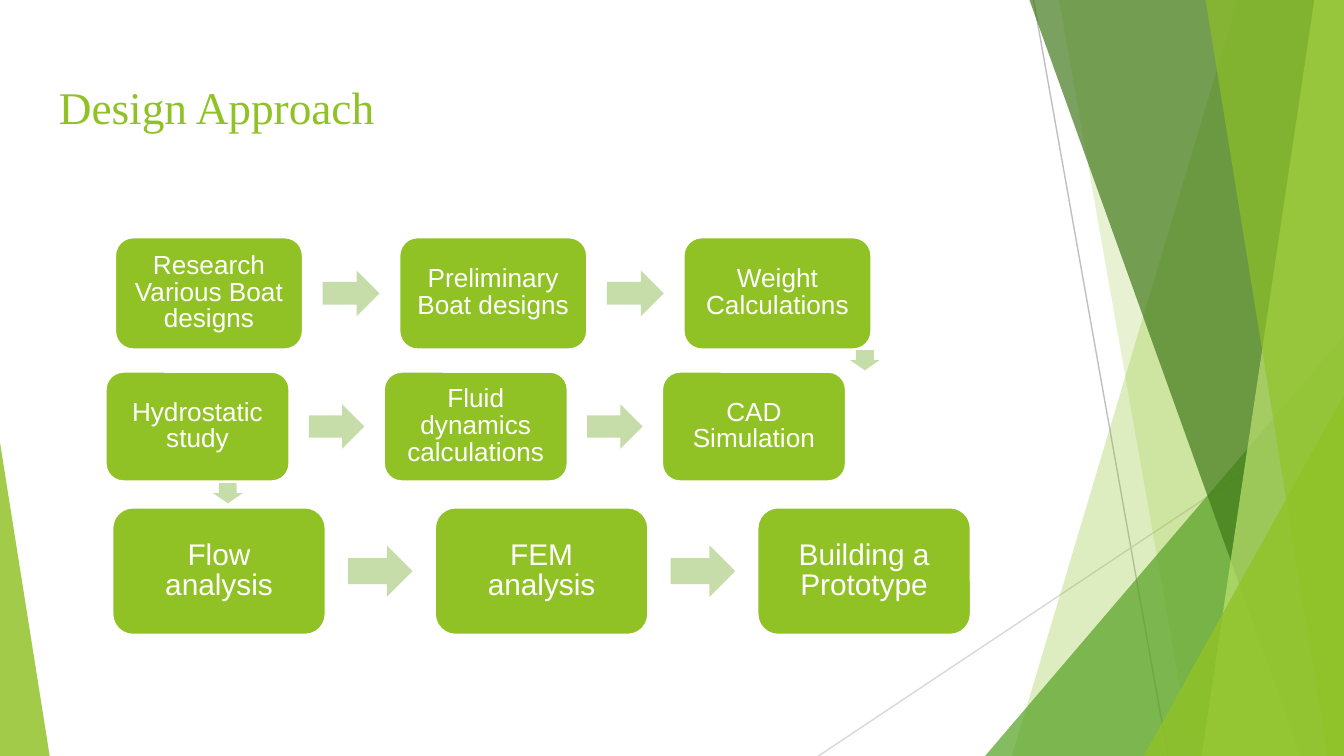
from lxml.etree import SubElement
from pptx import Presentation
from pptx.dml.color import RGBColor
from pptx.enum.shapes import MSO_CONNECTOR, MSO_SHAPE
from pptx.enum.text import MSO_ANCHOR, PP_ALIGN
from pptx.oxml.ns import qn
from pptx.util import Inches, Pt

GREEN = "90C226"
RIGHT, BOTTOM = 100, 56.25  # the slide in square grid units


def grid(*units):
    """Turn grid units, each a hundredth of the slide's width, into lengths."""
    return [Inches(unit / 10) for unit in units]


def paint(shape, color, opacity=100):
    """Give a shape a flat fill without outline or shadow."""
    shape.shadow.inherit = False
    shape.line.fill.background()
    shape.fill.solid()
    shape.fill.fore_color.rgb = RGBColor.from_string(color)
    if opacity < 100:
        color_element = shape.fill._xPr.find(qn("a:solidFill"))[0]
        SubElement(color_element, qn("a:alpha"), val=str(opacity * 1000))


presentation = Presentation()
presentation.slide_width, presentation.slide_height = grid(RIGHT, BOTTOM)
slide = presentation.slides.add_slide(presentation.slide_layouts[6])
shapes = slide.shapes

# Thin lines behind the facets
for start, end, color in [
    ((76.9, 0), (86.9, BOTTOM), "BFBFBF"),
    ((RIGHT, 30.2), (60.9, BOTTOM), "D8D8D8"),
]:
    connector = shapes.add_connector(MSO_CONNECTOR.STRAIGHT, *grid(*start, *end))
    connector.line.color.rgb = RGBColor.from_string(color)
    connector.line.width = Pt(0.75)
    SubElement(connector._element.spPr, qn("a:effectLst"))

# Facets: a band runs from its top corner to its bottom corner and fills to the
# right edge; a triangle has left, top, width and the side of its apex
for kind, position, color, opacity in [
    ("band", (92.1, 75.3), GREEN, 29),
    ("band", (78.8, 88.7), GREEN, 20),
    ("triangle", (73.3, 25, 26.7, 1), "54A021", 71),
    ("band", (76.6, 96.8), "3F7818", 69),
    ("band", (97.8, 89.4), "BFE471", 69),
    ("band", (89.7, 98.8), GREEN, 64),
    ("triangle", (85.1, 29.4, 14.9, 1), GREEN, 80),
    ("triangle", (0, 32.9, 3.7, 0), GREEN, 84),
]:
    if kind == "band":
        top_corner, bottom_corner = position
        builder = shapes.build_freeform(*grid(top_corner, 0))
        builder.add_line_segments(
            [grid(RIGHT, 0), grid(RIGHT, BOTTOM), grid(bottom_corner, BOTTOM)]
        )
        facet = builder.convert_to_shape()
    else:
        left, top, width, apex = position
        facet = shapes.add_shape(
            MSO_SHAPE.ISOSCELES_TRIANGLE, *grid(left, top, width, BOTTOM - top)
        )
        facet.adjustments[0] = apex
    paint(facet, color, opacity)

title = shapes.add_textbox(*grid(3.4, 4.9, 93.2, 6.3))
text_frame = title.text_frame
text_frame.word_wrap = True
text_frame.margin_top = text_frame.margin_bottom = Inches(0.1)
text_frame.text = "Design Approach"
font = text_frame.paragraphs[0].font
font.name, font.size = "Times New Roman", Pt(24.3)
font.color.rgb = RGBColor.from_string(GREEN)

# Process rows: every size follows from the width of a step
for left, top, width, size, steps in [
    (8.5, 17.6, 14.1, 14,
     ["Research Various Boat designs", "Preliminary Boat designs", "Weight Calculations"]),
    (7.8, 27.6, 13.8, 14,
     ["Hydrostatic study", "Fluid dynamics calculations", "CAD Simulation"]),
    (8.3, 37.7, 16, 16,
     ["Flow analysis", "FEM analysis", "Building a Prototype"]),
]:
    height = 0.6 * width
    for index, label in enumerate(steps):
        step_left = left + index * 1.5 * width
        step = shapes.add_shape(
            MSO_SHAPE.ROUNDED_RECTANGLE, *grid(step_left, top, width, height)
        )
        paint(step, GREEN)
        step.line.color.rgb = RGBColor.from_string("FFFFFF")
        step.line.width = Pt(2)
        text_frame = step.text_frame
        text_frame.word_wrap = True
        text_frame.vertical_anchor = MSO_ANCHOR.MIDDLE
        text_frame.text = label
        paragraph = text_frame.paragraphs[0]
        paragraph.alignment = PP_ALIGN.CENTER
        paragraph.line_spacing = 0.85
        paragraph.font.name, paragraph.font.size = "Arial", Pt(size)
        paragraph.font.color.rgb = RGBColor.from_string("FFFFFF")

        if index < len(steps) - 1:
            arrow_height = 0.24 * width
            arrow = shapes.add_shape(
                MSO_SHAPE.RIGHT_ARROW,
                *grid(step_left + 1.1 * width, top + (height - arrow_height) / 2,
                      0.3 * width, arrow_height),
            )
            paint(arrow, "C6DDAA")

# Arrows leading down to the next row
for left, top in [(63.6, 25.7), (16.2, 35.6)]:
    arrow = shapes.add_shape(MSO_SHAPE.RIGHT_ARROW, *grid(left, top, 1.5, 2.2))
    arrow.rotation = 90
    arrow.adjustments[0] = 0.6
    paint(arrow, "C5DDA8")

presentation.save("out.pptx")
